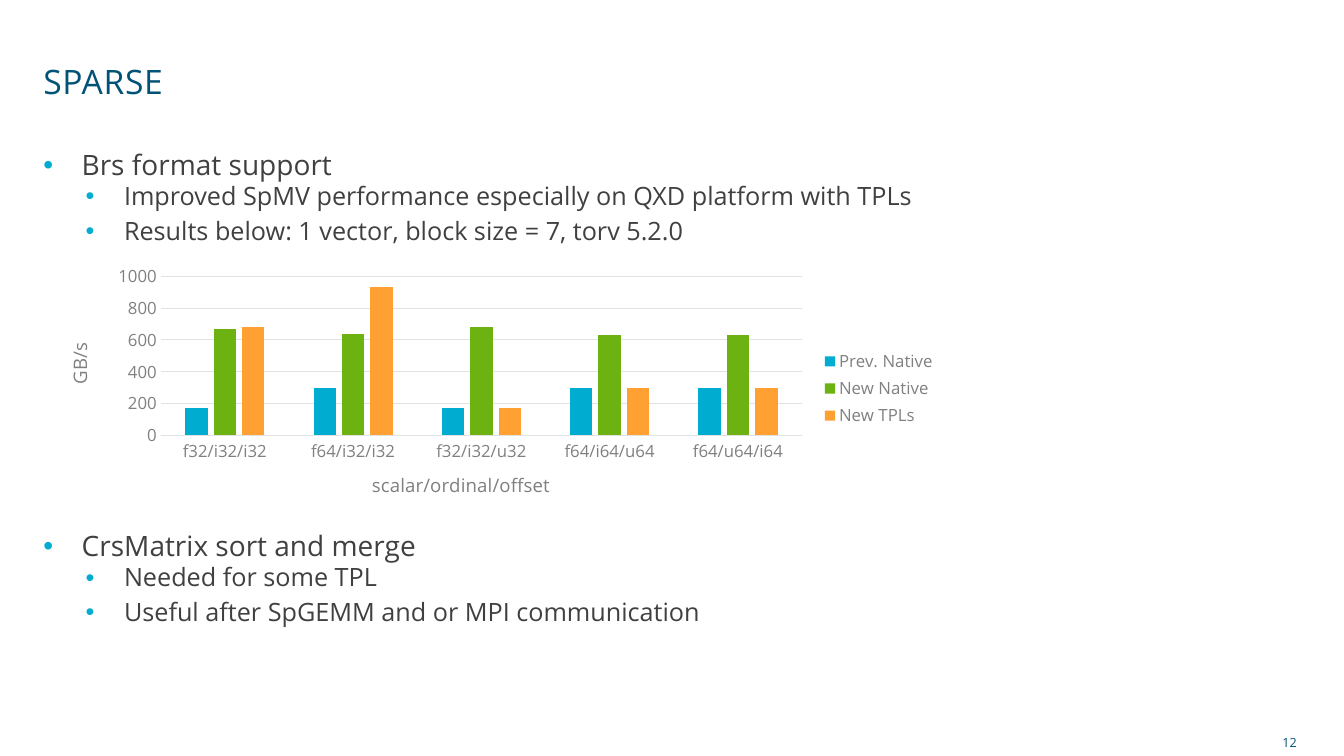
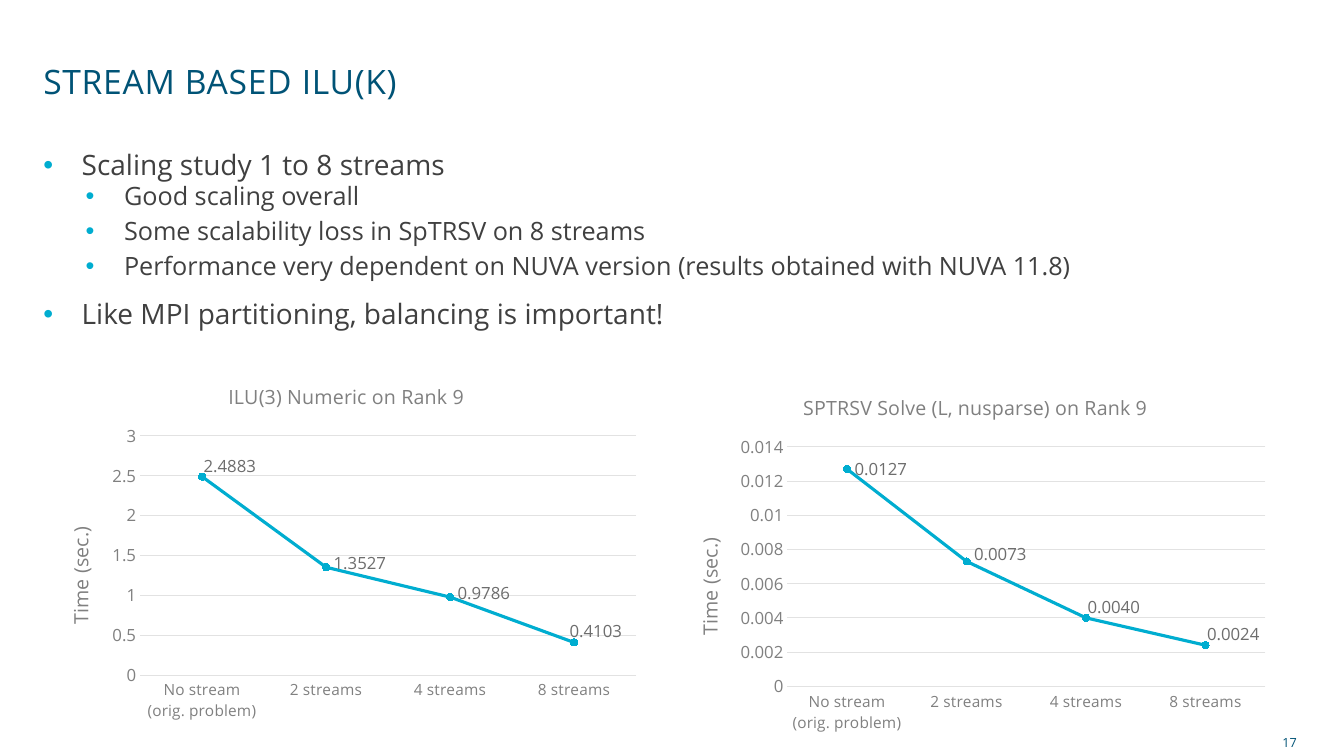
"""Build two slides on sparse kernels: bullet text with bar and line charts."""
from lxml import etree
from pptx import Presentation
from pptx import util as u
from pptx.chart.data import CategoryChartData
from pptx.dml.color import RGBColor
from pptx.enum import chart as kinds, text
from pptx.oxml.ns import qn

FACE = "Open Sans"
NAVY, BLUE, GREEN, AMBER = "005376", "00ADD0", "6CB312", "FFA033"
DARK, GREY, PALE, LABEL = "404040", "808080", "E2E2E2", "6D6D6D"
FORMAT = "#,##0.0000"
rgb = RGBColor.from_string


def style(font, size, hue):
    font.name, font.size, font.color.rgb = FACE, u.Pt(size), rgb(hue)


def place(parent, spot, **parts):
    for old in parent.findall(qn("c:layout")):
        parent.remove(old)
    layout = etree.Element(qn("c:layout"))
    manual = etree.SubElement(layout, qn("c:manualLayout"))
    for name, value in parts.items():
        etree.SubElement(manual, qn("c:" + name)).set("val", str(value))
    parent.insert(spot, layout)


EDGE = {"xMode": "edge", "yMode": "edge"}
LEVELS = [
    {"size": 20, "left": 0.38, "before": 10, "after": 0},
    {"size": 18, "left": 0.8, "before": 2, "after": 3.5},
]
STREAMS = ["No stream (orig. problem)", "2 streams", "4 streams", "8 streams"]
TIMES = {
    "kind": kinds.XL_CHART_TYPE.LINE_MARKERS, "cats": STREAMS, "small": 11,
    "side": ("Time (sec.)", 14, 0.03, 0.43),
}

pages = [
    {
        "title": "SPARSE", "number": "12",
        "lists": [
            (1.45, 1.1, [
                (0, "Brs format support"),
                (1, "Improved SpMV performance especially on QXD platform with TPLs"),
                (1, "Results below: 1 vector, block size = 7, torv 5.2.0"),
            ]),
            (5.23, 1.35, [
                (0, "CrsMatrix sort and merge"),
                (1, "Needed for some TPL"),
                (1, "Useful after SpGEMM and or MPI communication"),
            ]),
        ],
        "charts": [{
            "kind": kinds.XL_CHART_TYPE.COLUMN_CLUSTERED, "small": 12,
            "at": (0.43, 2.56, 8.96, 2.59), "plot": (0.13, 0.07, 0.71, 0.61),
            "cats": ["f32/i32/i32", "f64/i32/i32", "f32/i32/u32",
                     "f64/i64/u64", "f64/u64/i64"],
            "series": [
                ("Prev. Native", BLUE, [170, 300, 170, 300, 300]),
                ("New Native", GREEN, [670, 640, 680, 630, 630]),
                ("New TPLs", AMBER, [680, 930, 170, 300, 300]),
            ],
            "top": 1000, "step": 200,
            "side": ("GB/s", 13.3, 0.02, 0.31),
            "foot": ("scalar/ordinal/offset", 13.3, 0.36, 0.8),
        }],
    },
    {
        "title": "STREAM BASED ILU(K)", "number": "17",
        "lists": [
            (1.45, 2, [
                (0, "Scaling study 1 to 8 streams"),
                (1, "Good scaling overall"),
                (1, "Some scalability loss in SpTRSV on 8 streams"),
                (1, "Performance very dependent on NUVA version "
                    "(results obtained with NUVA 11.8)"),
                (0, "Like MPI partitioning, balancing is important!"),
            ]),
        ],
        "charts": [
            {
                **TIMES, "at": (0.43, 3.64, 6, 3.6), "plot": (0.16, 0.19, 0.82, 0.66),
                "series": [("Series 1", BLUE, [2.4883, 1.3527, 0.9786, 0.4103])],
                "top": 3, "step": 0.5,
                "head": ("ILU(3) Numeric on Rank 9", 14, 0.3, 0.03),
                "shifts": [(-0.01, -0.03), (0, -0.01), (0, -0.01), (-0.02, -0.03)],
            },
            {
                **TIMES, "at": (6.67, 3.75, 6, 3.6), "plot": (0.19, 0.19, 0.79, 0.66),
                "series": [("Series 1", BLUE, [0.0127, 0.0073, 0.004, 0.0024])],
                "top": 0.014, "step": 0.002,
                "head": ("SPTRSV Solve (L, nusparse) on Rank 9", 14, 0.21, 0.03),
                "shifts": [(0, 0), (0, -0.02), (-0.01, -0.03), (-0.01, -0.03)],
            },
        ],
    },
]

deck = Presentation()
deck.slide_width, deck.slide_height = u.Inches(13.33), u.Inches(7.5)

for page in pages:
    slide = deck.slides.add_slide(deck.slide_layouts[6])

    box = slide.shapes.add_textbox(*map(u.Inches, (0.43, 0.45, 11.04, 0.75)))
    frame = box.text_frame
    frame.word_wrap = True
    frame.vertical_anchor = text.MSO_ANCHOR.MIDDLE
    frame.margin_left = frame.margin_right = frame.margin_top = frame.margin_bottom = 0
    frame.text = page["title"]
    frame.paragraphs[0].line_spacing = 0.9
    run = frame.paragraphs[0].runs[0]
    style(run.font, 24, NAVY)
    run.font._element.set("spc", "50")

    for top, height, lines in page["lists"]:
        box = slide.shapes.add_textbox(*map(u.Inches, (0.43, top, 12.08, height)))
        frame = box.text_frame
        frame.word_wrap = True
        frame.margin_left = frame.margin_right = 0
        frame.text = "\n".join(line for _, line in lines)
        for para, (depth, _) in zip(frame.paragraphs, lines):
            level = LEVELS[depth]
            para.level = depth
            para.line_spacing = 0.9
            para.space_before = u.Pt(level["before"])
            para.space_after = u.Pt(level["after"])
            style(para.runs[0].font, level["size"], DARK)
            props = para._p.get_or_add_pPr()
            props.set("marL", str(u.Inches(level["left"])))
            props.set("indent", str(u.Inches(-0.38)))
            hue = etree.SubElement(props, qn("a:buClr"))
            etree.SubElement(hue, qn("a:srgbClr")).set("val", BLUE)
            etree.SubElement(props, qn("a:buFont")).set("typeface", "Arial")
            etree.SubElement(props, qn("a:buChar")).set("char", "•")

    box = slide.shapes.add_textbox(*map(u.Inches, (12.62, 7.24, 0.54, 0.3)))
    box.text_frame.word_wrap = True
    box.text_frame.text = page["number"]
    style(box.text_frame.paragraphs[0].runs[0].font, 9, NAVY)

    for item in page["charts"]:
        data = CategoryChartData()
        data.categories = item["cats"]
        for name, _, values in item["series"]:
            data.add_series(name, values)
        spot = map(u.Inches, item["at"])
        chart = slide.shapes.add_chart(item["kind"], *spot, data).chart
        style(chart.font, 10, DARK)
        plot, cat, val = chart.plots[0], chart.category_axis, chart.value_axis
        area = chart._chartSpace.chart.plotArea
        place(area, 0, layoutTarget="inner", **EDGE, **dict(zip("xywh", item["plot"])))

        for axis, size in ((cat, item["small"]), (val, 12)):
            axis.major_tick_mark = kinds.XL_TICK_MARK.NONE
            axis.minor_tick_mark = kinds.XL_TICK_MARK.NONE
            style(axis.tick_labels.font, size, GREY)
        val.minimum_scale, val.maximum_scale = 0, item["top"]
        val.major_unit = item["step"]
        val.tick_labels.number_format = "General"
        val.tick_labels.number_format_is_linked = False
        val.format.line.fill.background()
        val.has_major_gridlines = True
        for line in (cat.format.line, val.major_gridlines.format.line):
            line.color.rgb, line.width = rgb(PALE), u.Pt(0.75)

        chart.has_title = "head" in item
        for key, owner in (("head", chart), ("side", val), ("foot", cat)):
            if key not in item:
                continue
            words, size, x, y = item[key]
            title = chart.chart_title if key == "head" else owner.axis_title
            title.text_frame.text = words
            font = title.text_frame.paragraphs[0].runs[0].font
            style(font, size, GREY)
            font.bold = False
            place(title._element, 1, **EDGE, x=x, y=y)
            if key == "side":
                body = title._element.find(".//" + qn("a:bodyPr"))
                body.set("rot", "-5400000")
                body.set("vert", "horz")

        plot.vary_by_categories = False
        chart.has_legend = len(item["series"]) > 1
        if chart.has_legend:
            chart.legend.position = kinds.XL_LEGEND_POSITION.RIGHT
            chart.legend.include_in_layout = False
            style(chart.legend.font, 12, GREY)
            plot.gap_width, plot.overlap = 219, -27

        for series, (_, hue, _) in zip(plot.series, item["series"]):
            if "shifts" not in item:
                series.format.fill.solid()
                series.format.fill.fore_color.rgb = rgb(hue)
                continue
            series.smooth = False
            series.format.line.color.rgb = rgb(hue)
            series.format.line.width = u.Pt(2.25)
            mark = series.marker
            mark.style, mark.size = kinds.XL_MARKER_STYLE.CIRCLE, 5
            mark.format.fill.solid()
            mark.format.fill.fore_color.rgb = rgb(hue)
            mark.format.line.color.rgb = rgb(hue)
            tags = series.data_labels
            tags.show_value = True
            tags.number_format, tags.number_format_is_linked = FORMAT, False
            tags.position = kinds.XL_LABEL_POSITION.RIGHT
            style(tags.font, 12, LABEL)
            for index in range(len(item["shifts"])):
                tag = series.points[index].data_label
                style(tag.font, 12, LABEL)
                tag.position = kinds.XL_LABEL_POSITION.RIGHT
            nodes = series._element.findall(".//" + qn("c:dLbl"))
            for node, (x, y) in zip(nodes, item["shifts"]):
                place(node, 1, x=x, y=y)
                code = etree.Element(qn("c:numFmt"), formatCode=FORMAT, sourceLinked="0")
                node.insert(2, code)

deck.save("out.pptx")
